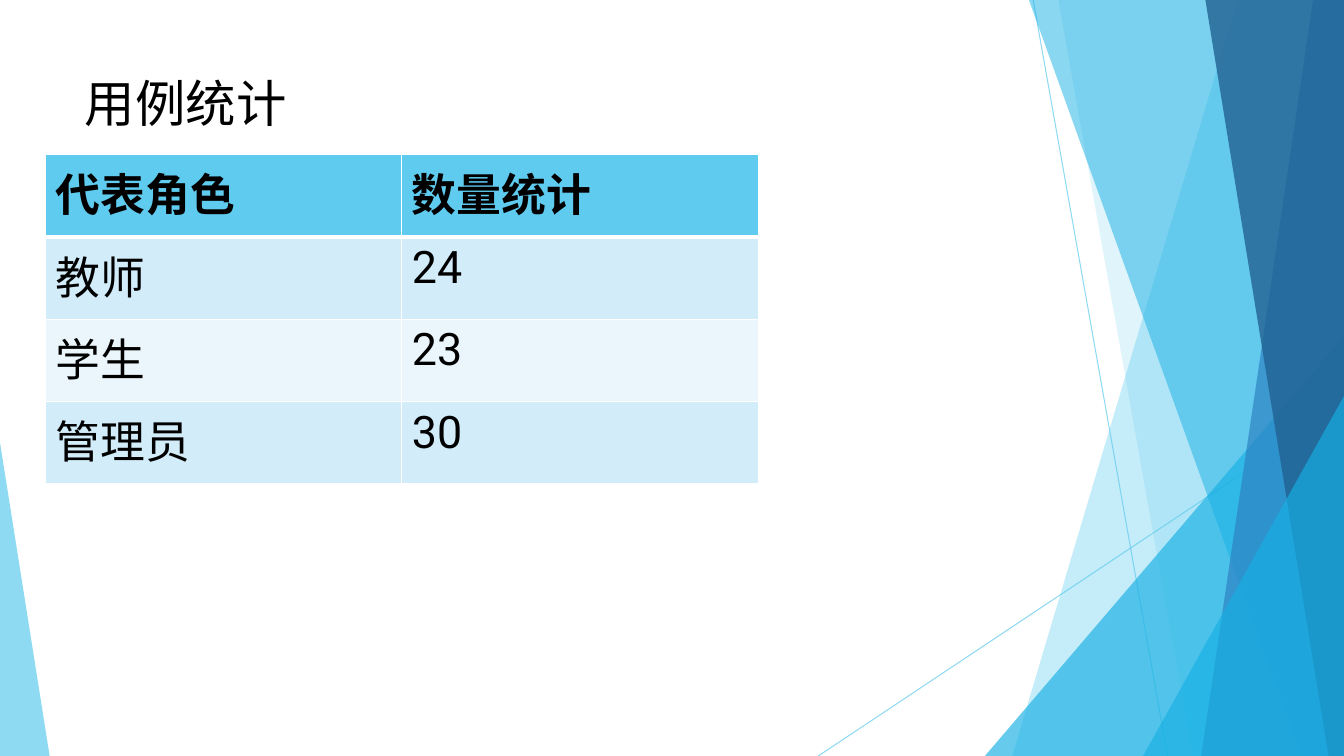
from pptx import Presentation
from pptx.dml.color import RGBColor as RGB
from pptx.enum.shapes import MSO_CONNECTOR as Conn, MSO_SHAPE as Shape
from pptx.enum.text import MSO_ANCHOR as Anchor, PP_ALIGN as Align
from pptx.oxml import parse_xml as parse
from pptx.oxml.ns import nsdecls
from pptx.util import Pt

WIDE, HIGH = 960, 540
SKY, CYAN, BLUE, NAVY = "5FCBEF", "17B0E4", "2E83C3", "226292"
PALE, MIST = "EAF6FC", "D2ECF9"


def color(text):
    return RGB.from_string(text)


def node(tag, body="", attrs=""):
    return parse(f'<a:{tag} {nsdecls("a")} {attrs}>{body}</a:{tag}>')


def write(frame, text, size=32, bold=False, ink="000000", face="Roboto"):
    frame.text = text
    par = frame.paragraphs[0]
    par.alignment = Align.LEFT
    font = par.runs[0].font
    font.size, font.bold, font.name = Pt(size), bold, face
    font.color.rgb = color(ink)


class Deck:
    """Hold the style and the current slide, with one method per element."""

    def __init__(self):
        self.prs = Presentation()
        self.prs.slide_width, self.prs.slide_height = Pt(WIDE), Pt(HIGH)
        self.slide = self.prs.slides.add_slide(self.prs.slide_layouts[5])
        self.shapes = self.slide.shapes

    def paint(self, fill, tone, alpha):
        fill.solid()
        fill.fore_color.rgb = color(tone)
        tint = fill._xPr.find(".//{*}srgbClr")
        tint.append(node("alpha", attrs=f'val="{alpha * 1000}"'))

    def line(self, x1, y1, x2, y2):
        line = self.shapes.add_connector(
            Conn.STRAIGHT, Pt(x1), Pt(y1), Pt(x2), Pt(y2))
        line.line.width = Pt(0.75)
        self.paint(line.line.fill, SKY, 70)
        line._element.spPr.append(node("effectLst"))

    def finish(self, shape, tone, alpha):
        shape.shadow.inherit = False
        shape.line.fill.background()
        self.paint(shape.fill, tone, alpha)

    def band(self, top, foot, tone, alpha):
        pen = self.shapes.build_freeform(Pt(top), 0)
        pen.add_line_segments(
            [(Pt(WIDE), 0), (Pt(WIDE), Pt(HIGH)), (Pt(foot), Pt(HIGH))])
        self.finish(pen.convert_to_shape(), tone, alpha)

    def wedge(self, left, top, width, peak, tone, alpha):
        shape = self.shapes.add_shape(
            Shape.ISOSCELES_TRIANGLE, Pt(left), Pt(top), Pt(width), Pt(HIGH - top))
        shape.adjustments[0] = peak
        self.finish(shape, tone, alpha)

    def title(self, text, left, top, width, height):
        box = self.shapes.title
        box.left, box.top, box.width, box.height = map(Pt, (left, top, width, height))
        write(box.text_frame, text, size=36)
        box.text_frame.vertical_anchor = Anchor.TOP

    def edge(self, cell, widths):
        for spot, (side, width) in enumerate(widths.items()):
            body = '<a:solidFill><a:srgbClr val="FFFFFF"/></a:solidFill>'
            rule = node("ln" + side, body, f'w="{Pt(width)}"')
            cell._tc.get_or_add_tcPr().insert(spot, rule)

    def table(self, data, left, top, width, height):
        grid = self.shapes.add_table(
            len(data), len(data[0]), Pt(left), Pt(top), Pt(width), Pt(height)).table
        for r, row in enumerate(data):
            for c, text in enumerate(row):
                cell = grid.cell(r, c)
                write(cell.text_frame, text, bold=r == 0)
                cell.vertical_anchor = Anchor.TOP
                cell.fill.solid()
                tone = SKY if r == 0 else MIST if r % 2 else PALE
                cell.fill.fore_color.rgb = color(tone)
                self.edge(cell, {"L": 1, "R": 1, "T": 3 if r == 1 else 1,
                                 "B": 3 if r == 0 else 1})


def main():
    deck = Deck()
    deck.line(738, 0, 834, HIGH)
    deck.line(WIDE, 290, 584.5, HIGH)
    deck.band(884, 723, SKY, 36)
    deck.band(756, 852, SKY, 20)
    deck.wedge(703.5, 240, 256.5, 1, CYAN, 66)
    deck.band(735, 929.5, CYAN, 50)
    deck.band(938, 858, BLUE, 70)
    deck.band(861, 949, NAVY, 80)
    deck.wedge(816.5, 283, 143.5, 1, CYAN, 66)
    deck.wedge(0, 316, 35.5, 0, SKY, 70)
    deck.title("用例统计", 53.5, 48, 677, 104)
    deck.table([("代表角色", "数量统计"), ("教师", "24"), ("学生", "23"),
                ("管理员", "30")], 32.5, 110.5, 509, 235)
    deck.prs.save("out.pptx")


if __name__ == "__main__":
    main()
